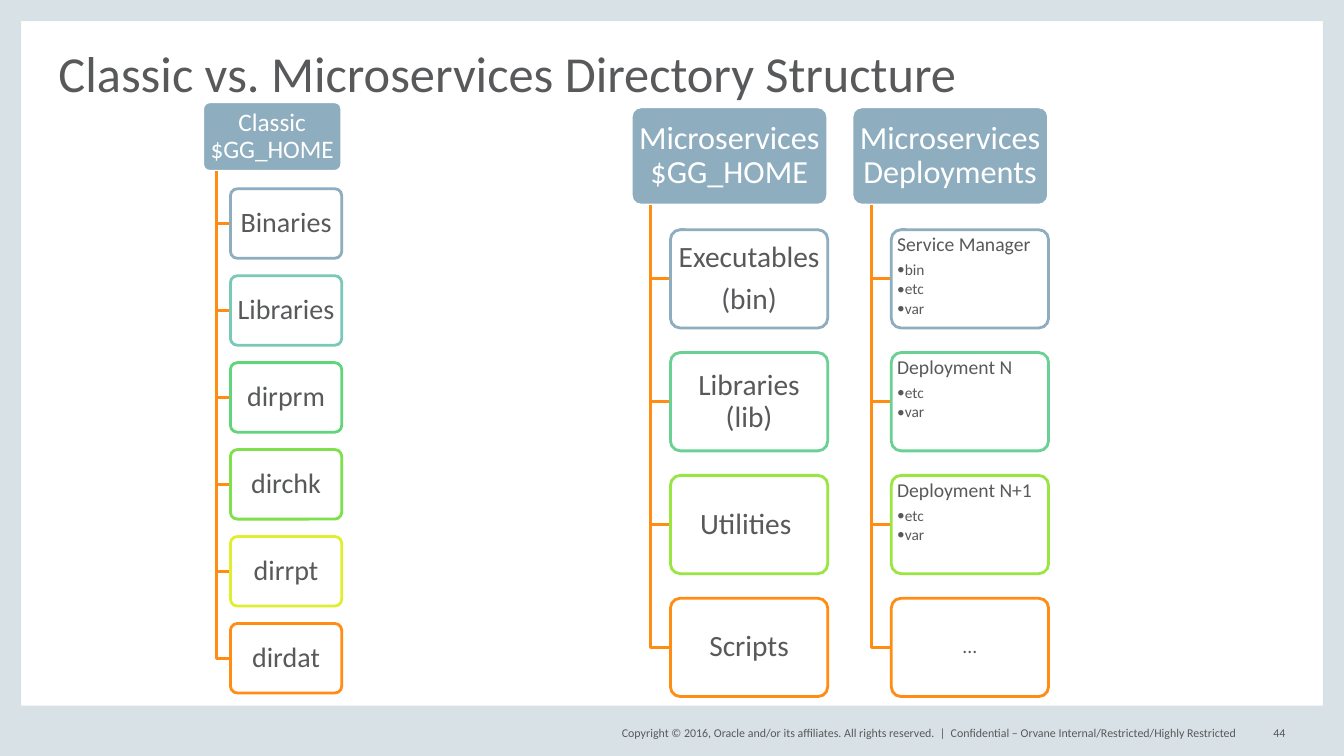
from lxml.etree import SubElement
from pptx import Presentation
from pptx.dml.color import RGBColor
from pptx.enum.shapes import MSO_SHAPE as Shape
from pptx.enum.text import MSO_ANCHOR as Anchor, PP_ALIGN as Align
from pptx.oxml.ns import qn
from pptx.util import Inches, Pt

GREY, BLUE, ORANGE, WHITE, FRAME = "58595B", "8EADBF", "FF8D14", "FFFFFF", "D8E1E6"


def color(hex_value):
    return RGBColor.from_string(hex_value)


def write(frame, text, size=8.5, ink=GREY, align=Align.LEFT, line=None, after=None,
          anchor=Anchor.MIDDLE, insets=(0, 0), wrap=True, bullet=False):
    frame.word_wrap = wrap
    frame.vertical_anchor = anchor
    frame.margin_left = frame.margin_right = Inches(insets[0])
    frame.margin_top = frame.margin_bottom = Inches(insets[1])
    paragraph = frame.add_paragraph() if frame.text else frame.paragraphs[0]
    paragraph.alignment = align
    paragraph.line_spacing = line
    paragraph.space_after = None if after is None else Pt(after)
    if bullet:
        paragraph.level = 1
        properties = paragraph._p.get_or_add_pPr()
        properties.set("marL", str(Inches(0.06)))
        properties.set("indent", str(-Inches(0.06)))
        SubElement(properties, qn("a:buFont")).set("typeface", "Calibri")
        SubElement(properties, qn("a:buChar")).set("char", "•")
    run = paragraph.add_run()
    run.text = text
    font = run.font
    font.name, font.size, font.color.rgb, font.bold = "Calibri", Pt(size), color(ink), False


presentation = Presentation()
presentation.slide_width, presentation.slide_height = Inches(13.33), Inches(7.5)
slide = presentation.slides.add_slide(presentation.slide_layouts[5])
shapes = slide.shapes

borders = [(0, 0, 0.21, 7.5), (13.12, 0, 0.21, 7.5), (0, 7, 13.33, 0.5), (0, 0, 13.33, 0.21)]
for bounds in borders:
    border = shapes.add_shape(Shape.RECTANGLE, *map(Inches, bounds))
    border.shadow.inherit = False
    border.fill.solid()
    border.fill.fore_color.rgb = color(FRAME)
    border.line.fill.background()

footers = [
    (5.88, 3.5, Align.RIGHT, "Copyright © 2016, Oracle and/or its affiliates. All rights reserved.  |"),
    (9.43, 3, Align.LEFT, "Confidential – Orvane Internal/Restricted/Highly Restricted"),
    (12.33, 0.42, Align.RIGHT, "44"),
]
for left, width, align, text in footers:
    footer = shapes.add_textbox(Inches(left), Inches(7.17), Inches(width), Inches(0.2))
    write(footer.text_frame, text, align=align, wrap=False)

title = shapes.title
title.left, title.top, title.width, title.height = map(Inches, (0.58, 0.44, 12.17, 0.57))
write(title.text_frame, "Classic vs. Microservices Directory Structure", size=36, line=0.8,
      anchor=Anchor.BOTTOM)

four_colors = [BLUE, "6AD094", "99E541", ORANGE]
columns = [
    dict(left=2.01, top=1.01, width=1.38, header="Classic $GG_HOME", header_size=18,
         size=20, insets=(0.04, 0.03),
         colors=[BLUE, "79C8B8", "62D47C", "7EE04A", "DFEF30", ORANGE],
         items=[["Binaries"], ["Libraries"], ["dirprm"], ["dirchk"], ["dirrpt"], ["dirdat"]]),
    dict(left=6.26, top=1.06, width=1.95, header="Microservices $GG_HOME", header_size=23,
         size=21, insets=(0.04, 0.03), colors=four_colors,
         items=[["Executables", "(bin)"], ["Libraries (lib)"], ["Utilities "], ["Scripts"]]),
    dict(left=8.45, top=1.06, width=1.95, header="Microservices Deployments", header_size=23,
         size=14, insets=(0.03, 0.02), colors=four_colors,
         items=[["Service Manager", "•bin", "•etc", "•var"], ["Deployment N", "•etc", "•var"],
                ["Deployment N+1", "•etc", "•var"], ["..."]]),
]

for column in columns:
    left, top, width = column["left"], column["top"], column["width"]
    height = width / 2
    trunk, box_left = left + 0.1 * width, left + 0.2 * width
    cards = [(left, top, width, BLUE, WHITE, [column["header"]])]
    for index, (outline, lines) in enumerate(zip(column["colors"], column["items"]), 1):
        cards.append((box_left, top + 1.25 * height * index, 0.8 * width, WHITE, outline, lines))

    for card_left, card_top, card_width, fill, outline, lines in cards:
        is_header = fill == BLUE
        if not is_header:
            middle = card_top + height / 2
            builder = shapes.build_freeform(Inches(trunk), Inches(top + height))
            builder.add_line_segments([(Inches(trunk), Inches(middle)),
                                       (Inches(box_left), Inches(middle))], close=False)
            branch = builder.convert_to_shape()
            branch.shadow.inherit = False
            branch.fill.background()
            branch.line.color.rgb = color(ORANGE)
            branch.line.width = Pt(2)

        card = shapes.add_shape(Shape.ROUNDED_RECTANGLE, Inches(card_left), Inches(card_top),
                                Inches(card_width), Inches(height))
        card.adjustments[0] = 0.1
        card.shadow.inherit = False
        card.fill.solid()
        card.fill.fore_color.rgb = color(fill)
        card.line.color.rgb = color(outline)
        card.line.width = Pt(2)
        if not is_header:
            fill_color = card._element.spPr.find(qn("a:solidFill"))[0]
            SubElement(fill_color, qn("a:alpha")).set("val", "90000")

        has_bullets = lines[-1].startswith("•")
        for text in lines:
            bullet = text.startswith("•")
            size = 11 if bullet else column["header_size" if is_header else "size"]
            write(card.text_frame, text.lstrip("•"), size=size, line=0.9,
                  ink=WHITE if is_header else GREY,
                  align=Align.LEFT if has_bullets else Align.CENTER,
                  anchor=Anchor.TOP if has_bullets else Anchor.MIDDLE,
                  after=round(size * (0.17 if bullet else 0.33), 1),
                  insets=(0.04, 0.03) if is_header else column["insets"], bullet=bullet)

presentation.save("out.pptx")
